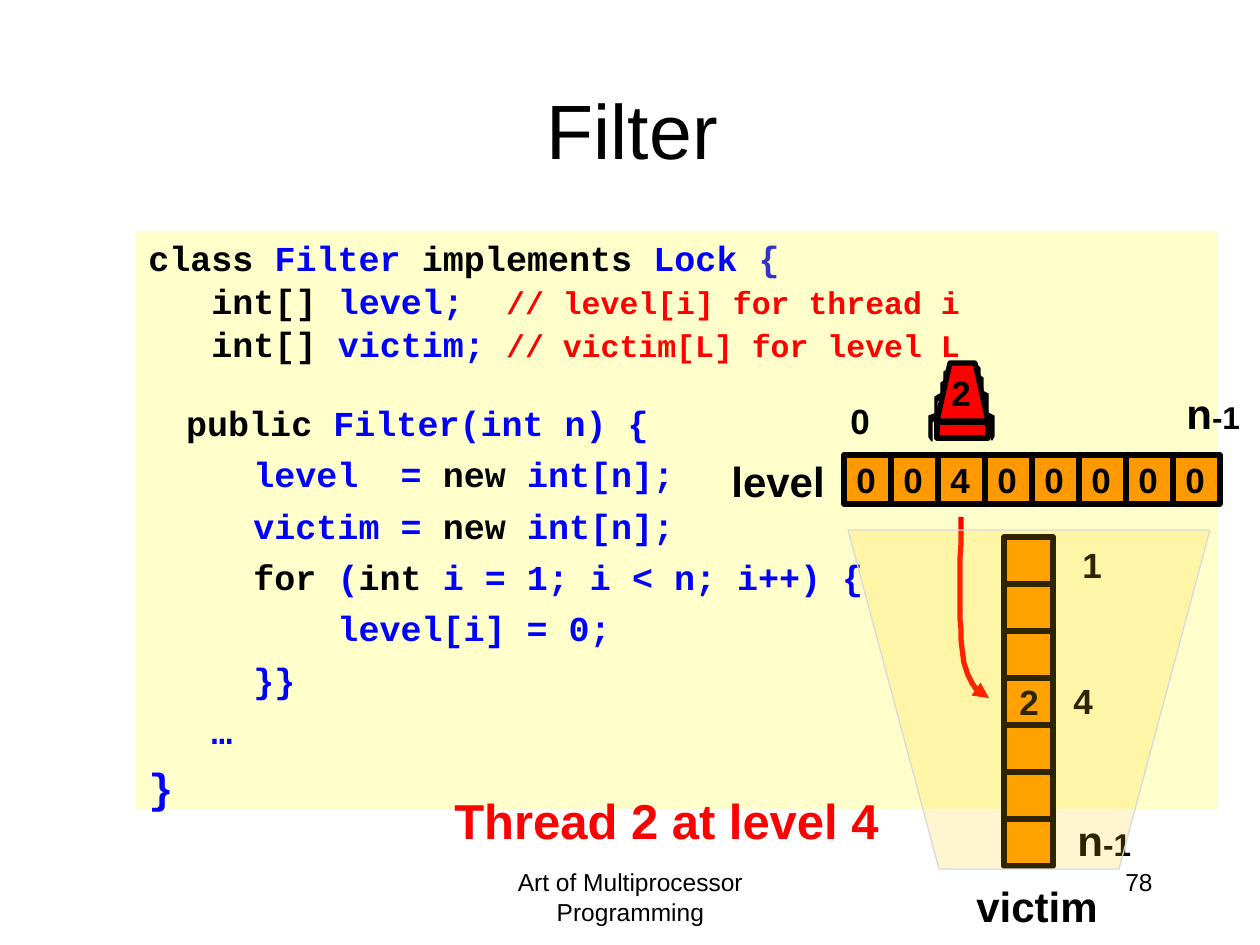
"""Build the Filter lock slide with its level and victim arrays."""
from lxml.etree import SubElement
from pptx import Presentation
from pptx.dml.color import RGBColor
from pptx.enum.shapes import MSO_CONNECTOR, MSO_SHAPE
from pptx.enum.text import MSO_ANCHOR, PP_ALIGN
from pptx.oxml.ns import qn
from pptx.util import Emu, Pt

PX = 914400 / 126
COLORS = {
    "black": "000000", "blue": "0000FF", "red": "FF0000", "indigo": "3333CC",
    "code": "FFFFCC", "cell": "FF9900", "funnel": "FFCC00", "edge": "D9D9D9",
}
K, B, R = "black", "blue", "red"

# level, line spacing, space before, size, runs of (text, colour[, size])
CODE = [
    (0, 0.8, 0, 20, [("class ", K), ("Filter ", B), ("implements ", K), ("Lock ", B), ("{", "indigo")]),
    (0, 0.8, 5.3, 20, [("   int[] ", K), ("level;  ", B), ("// level[i] for thread i", R, 18)]),
    (0, 0.8, 5.3, 20, [("   int[] ", K), ("victim; ", B), ("// victim[L] for level L", R, 18)]),
    (0, 0.8, 26, 20, [("  ", K, 18), ("public", K), (" Filter(int n) {", B)]),
    (1, 1, 5.3, 20, [("  level  = ", B), ("new", K), (" int[n];", B)]),
    (1, 1, 5.3, 20, [("  victim = ", B), ("new", K), (" int[n];", B)]),
    (1, 1, 5.3, 20, [("  ", B), ("for ", K), ("(", B), ("int ", K), ("i = 1; i < n; i++) {", B)]),
    (1, 1, 5.3, 20, [("      level[i] = 0;", B)]),
    (1, 1, 5.3, 20, [("  }}", B)]),
    (1, 1, 5.3, 20, [("…", B)]),
    (0, 1, 6, 24, [("}", B)]),
]
LEVELS = "00400000"
CELL, DEPTH = 47, 49
LEVEL_AT, VICTIM_AT, VICTIM_CELLS = (844, 455), (1004, 537), 7
NAMES = [("level", 719, 449, 120), ("victim", 964, 874, 147)]
LIMITS = [(1174, 381), (1065, 808)]
DIGITS = [("0", 838, 393), ("1", 1070, 537), ("2", 1007, 674), ("2", 939, 365), ("4", 1061, 673)]
TREADS = [
    [(984, 411), (994, 416), (994, 436), (992, 440), (990, 422), (984, 416)],
    [(982, 391), (988, 394), (988, 411), (985, 415), (985, 399), (982, 396)],
    [(979, 375), (983, 378), (983, 392), (982, 393), (982, 382), (979, 378)],
    [(977, 365), (980, 368), (980, 381), (979, 382), (979, 372), (977, 369)],
    [(940, 412), (929, 416), (929, 437), (932, 441), (932, 422), (939, 417)],
    [(942, 393), (935, 397), (935, 413), (937, 416), (937, 402), (941, 397)],
    [(948, 369), (944, 372), (944, 386), (945, 388), (945, 377), (948, 373)],
    [(944, 381), (941, 383), (941, 394), (942, 397), (942, 387), (944, 383)],
]
THREAD_BODY = [(937, 421), (950, 363), (975, 363), (988, 421)]
FUNNEL = [(848, 530), (939, 869), (1119, 869), (1210, 530)]
ARROW_CURVES = [
    [(961, 517), (960, 572), (959, 626), (963, 656)],
    [(963, 656), (968, 687), (978, 692), (989, 698)],
]


def px(*values):
    return [Emu(round(v * PX)) for v in values]


def rgb(name):
    return RGBColor.from_string(COLORS[name])


def paint(sp, fill=None, line=None, width=3):
    sp.shadow.inherit = False
    if fill:
        sp.fill.solid()
        sp.fill.fore_color.rgb = rgb(fill)
    else:
        sp.fill.background()
    if line:
        sp.line.color.rgb = rgb(line)
        sp.line.width = Pt(width)
    else:
        sp.line.fill.background()
    return sp


def add_rect(shapes, box, fill, line=None):
    return paint(shapes.add_shape(MSO_SHAPE.RECTANGLE, *px(*box)), fill, line)


def add_outline(shapes, points, fill=None, line="black", width=3, close=True):
    builder = shapes.build_freeform(*points[0], scale=PX)
    builder.add_line_segments(points[1:], close=close)
    return paint(builder.convert_to_shape(), fill, line, width)


def add_line(shapes, *ends):
    c = shapes.add_connector(MSO_CONNECTOR.STRAIGHT, *px(*ends))
    c.line.color.rgb = rgb("black")
    c.line.width = Pt(3)
    SubElement(c._element.spPr, qn("a:effectLst"))


def add_text(shapes, box, runs, bold=True, color="black", align=PP_ALIGN.LEFT,
             wrap=False, anchor=MSO_ANCHOR.TOP):
    tf = shapes.add_textbox(*px(*box)).text_frame
    tf.word_wrap = wrap
    tf.vertical_anchor = anchor
    p = tf.paragraphs[0]
    p.alignment = align
    p.font.name, p.font.bold, p.font.color.rgb = "Arial", bold, rgb(color)
    for text, size in runs:
        r = p.add_run()
        r.text = text
        r.font.size = Pt(size)


def add_code(shapes):
    sp = add_rect(shapes, (136, 231, 1082, 578), "code")
    tf = sp.text_frame
    tf.word_wrap = True
    tf.vertical_anchor = MSO_ANCHOR.TOP
    tf.margin_top = px(14)[0]
    for i, (level, spacing, before, size, runs) in enumerate(CODE):
        p = tf.add_paragraph() if i else tf.paragraphs[0]
        p.level, p.alignment = level, PP_ALIGN.LEFT
        p.line_spacing, p.space_before = spacing, Pt(before)
        pPr = p._p.get_or_add_pPr()
        pPr.set("marL", str(228600 + 457200 * level))
        pPr.set("indent", "-228600")
        p.font.name, p.font.bold, p.font.size = "Courier New", True, Pt(size)
        for text, color, *own_size in runs:
            r = p.add_run()
            r.text = text
            r.font.color.rgb = rgb(color)
            if own_size:
                r.font.size = Pt(own_size[0])


def add_arrays(shapes):
    x, y = VICTIM_AT
    add_rect(shapes, (x, y, DEPTH, CELL * VICTIM_CELLS), "cell", "black")
    for i in range(1, VICTIM_CELLS):
        add_line(shapes, x, y + CELL * i, x + DEPTH, y + CELL * i)
    x, y = LEVEL_AT
    add_rect(shapes, (x, y, CELL * len(LEVELS), DEPTH), "cell", "black")
    for i, value in enumerate(LEVELS):
        if i:
            add_line(shapes, x + CELL * i, y, x + CELL * i, y + DEPTH)
        add_text(shapes, (x + CELL * i, y - 3, 47, 54), [(value, 20)])


def curve_points(curve, steps=12):
    for i in range(steps + 1):
        t = i / steps
        weights = ((1 - t) ** 3, 3 * t * (1 - t) ** 2, 3 * t * t * (1 - t), t ** 3)
        yield tuple(sum(w * pt[axis] for w, pt in zip(weights, curve)) for axis in (0, 1))


def main():
    prs = Presentation()
    prs.slide_width, prs.slide_height = px(1260, 945)
    shapes = prs.slides.add_slide(prs.slide_layouts[6]).shapes

    add_text(shapes, (431, 861, 399, 63), [("Art of Multiprocessor Programming", 14)],
             bold=False, align=PP_ALIGN.CENTER, wrap=True)
    add_text(shapes, (903, 861, 262, 63), [("78", 14)], bold=False, align=PP_ALIGN.RIGHT, wrap=True)
    add_text(shapes, (97, 50, 1071, 158), [("Filter", 44)], bold=False,
             align=PP_ALIGN.CENTER, wrap=True, anchor=MSO_ANCHOR.MIDDLE)
    add_code(shapes)
    for name, x, y, width in NAMES:
        add_text(shapes, (x, y, width, 63), [(name, 24)])
    add_arrays(shapes)
    for x, y in LIMITS:
        add_text(shapes, (x, y, 79, 64), [("n", 24), ("-1", 18)])

    for tread in TREADS:
        add_outline(shapes, tread, "black", width=0.75)
    add_outline(shapes, THREAD_BODY, "red")
    add_rect(shapes, (937, 422, 51, 16), "red", "black")
    first, second = (list(curve_points(c)) for c in ARROW_CURVES)
    arrow = add_outline(shapes, first + second[1:], line="red", close=False)
    SubElement(arrow.line._get_or_add_ln(), qn("a:tailEnd"), type="triangle")

    for digit, x, y in DIGITS:
        add_text(shapes, (x, y, 47, 54), [(digit, 20)])
    add_text(shapes, (442, 784, 455, 72), [("Thread 2 at level 4", 28)], color="red")
    funnel = add_outline(shapes, FUNNEL, "funnel", "edge", 0.75)
    fill_color = funnel._element.spPr.find(qn("a:solidFill")).find(qn("a:srgbClr"))
    SubElement(fill_color, qn("a:alpha"), val="18000")
    prs.save("out.pptx")


if __name__ == "__main__":
    main()
